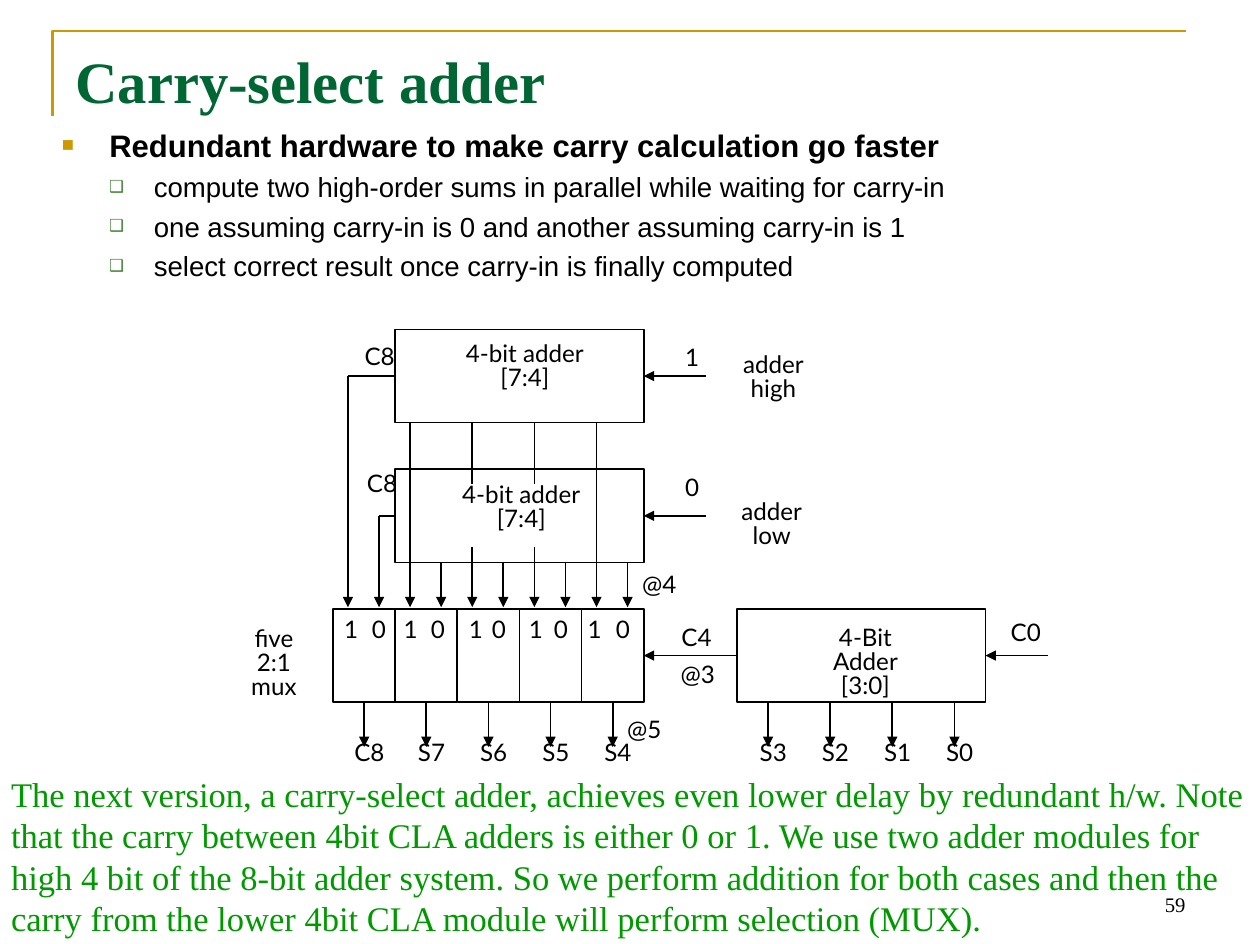
import pptx
import pptx.util
import pptx.dml.color
import pptx.enum.shapes
import pptx.enum.text
import pptx.oxml.ns
import lxml.etree

Pt = pptx.util.Pt
ALIGN = pptx.enum.text.PP_ALIGN
ANCHOR = pptx.enum.text.MSO_ANCHOR
SHAPE = pptx.enum.shapes.MSO_SHAPE
BLACK, WHITE, GOLD, GREEN = "000000", "FFFFFF", "CC9900", "3B812F"

CELL = 36                # width of a multiplexer cell, pitch of all wires
MUX_LEFT = 193
ADDER_LEFT = MUX_LEFT + CELL
ADDER_RIGHT = ADDER_LEFT + 4 * CELL
CARRY_LEFT = 427         # low-order 4-bit adder
HIGH_TOP, LOW_TOP, MUX_TOP = 191, 272, 353
HEIGHT = 54
MIDDLE = HEIGHT / 2


def color(value):
    return pptx.dml.color.RGBColor.from_string(value)


def add_element(parent, tag, **attributes):
    element = lxml.etree.SubElement(parent, pptx.oxml.ns.qn(tag))
    for name, value in attributes.items():
        element.set(name, str(value))
    return element


def add_bullet(para, char, char_color, percent, left, hanging):
    """Hanging bullet with its own colour and relative size."""
    properties = para._p.get_or_add_pPr()
    properties.set("marL", str(Pt(left)))
    properties.set("indent", str(-Pt(hanging)))
    add_element(add_element(properties, "a:buClr"), "a:srgbClr", val=char_color)
    add_element(properties, "a:buSzPct", val=percent * 1000)
    add_element(properties, "a:buFont", typeface="Arial")
    add_element(properties, "a:buChar", char=char)


def write(para, text, font="Lato", size=14, ink=BLACK, bold=False,
          align=ALIGN.LEFT, spacing=None, before=0):
    para.alignment = align
    para.space_before = Pt(before)
    if spacing:
        para.line_spacing = Pt(spacing)
    for number, line in enumerate(text.split("\n")):
        if number:
            para.add_line_break()
        span = para.add_run()
        span.text = line
        span.font.name, span.font.size = font, Pt(size)
        span.font.bold, span.font.color.rgb = bold, color(ink)


def add_box(page, left, top, width, height, insets=(7.2, 3.6, 7.2, 3.6),
            anchor=ANCHOR.TOP, wrap=True):
    box = page.shapes.add_textbox(Pt(left), Pt(top), Pt(width), Pt(height))
    frame = box.text_frame
    frame.word_wrap, frame.vertical_anchor = wrap, anchor
    (frame.margin_left, frame.margin_top,
     frame.margin_right, frame.margin_bottom) = [Pt(inset) for inset in insets]
    return box


def add_label(page, text, center, top, width=28):
    height = 24 + 14 * text.count("\n")
    box = add_box(page, center - width / 2, top, width, height,
                  insets=(7.2, 2.2, 1.4, 2.2), wrap=False)
    write(box.text_frame.paragraphs[0], text, align=ALIGN.CENTER, spacing=13.9)


def add_block(page, left, top, width, height=HEIGHT, fill=None, line=BLACK):
    block = page.shapes.add_shape(SHAPE.RECTANGLE, Pt(left), Pt(top), Pt(width), Pt(height))
    block.shadow.inherit = False
    if fill:
        block.fill.solid()
        block.fill.fore_color.rgb = color(fill)
    else:
        block.fill.background()
    block.line.color.rgb = color(line)
    block.line.width = Pt(1)


def add_wire(page, x1, y1, x2, y2, arrow=True):
    wire = page.shapes.add_connector(pptx.enum.shapes.MSO_CONNECTOR.STRAIGHT,
                                     Pt(x1), Pt(y1), Pt(x2), Pt(y2))
    wire.line.color.rgb = color(BLACK)
    wire.line.width = Pt(1)
    if arrow:
        add_element(wire.line._get_or_add_ln(), "a:tailEnd", type="triangle")
    add_element(wire._element.spPr, "a:effectLst")


def add_wire_row(page, left, count, top, bottom):
    for index in range(count):
        x = left + index * CELL
        add_wire(page, x, top, x, bottom)


def add_frame(page):
    builder = page.shapes.build_freeform(Pt(30.5), Pt(67), scale=1.0)
    builder.add_line_segments([(Pt(30.5), Pt(18)), (Pt(687.3), Pt(18))], close=False)
    corner = builder.convert_to_shape()
    corner.shadow.inherit = False
    corner.fill.background()
    corner.line.color.rgb = color(GOLD)
    corner.line.width = Pt(1.5)


def add_texts(page):
    note = add_box(page, -0.7, 444.4, 730, 103)
    note.fill.solid()
    note.fill.fore_color.rgb = color(WHITE)
    write(note.text_frame.paragraphs[0],
          "The next version, a carry-select adder, achieves even lower delay by redundant "
          "h/w. Note that the carry between 4bit CLA adders is either 0 or 1. We use two "
          "adder modules for high 4 bit of the 8-bit adder system. So we perform addition "
          "for both cases and then the carry from the lower 4bit CLA module will perform "
          "selection (MUX).", font="Times New Roman", size=20, ink="009900")

    number = add_box(page, 523.4, 498.2, 170.6, 36.7, anchor=ANCHOR.BOTTOM)
    write(number.text_frame.paragraphs[0], "59", font="Times New Roman", size=12,
          align=ALIGN.RIGHT)

    title = add_box(page, 36.7, 22.3, 656.6, 90.7)
    write(title.text_frame.paragraphs[0], "Carry-select adder",
          font="Times New Roman", size=34, ink="006633", bold=True)

    body = add_box(page, 28.8, 69.5, 656.6, 120).text_frame
    add_bullet(body.paragraphs[0], "■", GOLD, 65, 27.4, 27.4)
    write(body.paragraphs[0], "Redundant hardware to make carry calculation go faster",
          font="Arial", size=18, bold=True)
    for point in ("compute two high-order sums in parallel while waiting for carry-in",
                  "one assuming carry-in is 0 and another assuming carry-in is 1",
                  "select correct result once carry-in is finally computed"):
        para = body.add_paragraph()
        add_bullet(para, "❑", GREEN, 60, 53.3, 25.9)
        write(para, point, font="Arial", size=16, before=3.8)


def add_adders(page):
    for top in (HIGH_TOP, LOW_TOP):
        add_block(page, ADDER_LEFT, top, 4 * CELL)
        add_wire(page, ADDER_RIGHT + 36, top + MIDDLE, ADDER_RIGHT, top + MIDDLE)
    add_block(page, CARRY_LEFT, MUX_TOP, 4 * CELL)
    for index in range(5):
        add_block(page, MUX_LEFT + index * CELL, MUX_TOP, CELL)


def add_wires(page):
    mux_entry, mux_bottom = MUX_TOP - 1, MUX_TOP + HEIGHT
    # Sums into and out of the multiplexers
    add_wire_row(page, ADDER_LEFT + 8.6, 4, HIGH_TOP + HEIGHT, mux_entry)
    add_wire_row(page, ADDER_LEFT + 26.6, 4, LOW_TOP + HEIGHT, mux_entry)
    add_wire_row(page, MUX_LEFT + CELL / 2, 5, mux_bottom, mux_bottom + 26)
    add_wire_row(page, CARRY_LEFT + CELL / 2, 4, mux_bottom, mux_bottom + 26)
    # Carry wires
    for x, top in ((201.6, HIGH_TOP), (219.6, LOW_TOP)):
        add_wire(page, ADDER_LEFT, top + MIDDLE, x, top + MIDDLE, arrow=False)
        add_wire(page, x, top + MIDDLE, x, mux_entry)
    add_wire(page, CARRY_LEFT, MUX_TOP + MIDDLE, ADDER_RIGHT, MUX_TOP + MIDDLE)
    add_wire(page, 607, MUX_TOP + MIDDLE, CARRY_LEFT + 4 * CELL, MUX_TOP + MIDDLE)
    # Clear space behind the name of the low adder
    add_block(page, 256.3, 280.8, 80.6, 36, fill=WHITE, line=WHITE)


def add_labels(page):
    for text, center, top, width in (
            ("4-bit adder\n[7:4]", 301.3, 196.6, 77), ("4-bit adder\n[7:4]", 299.2, 278.6, 77),
            ("4-Bit Adder\n[3:0]", 498.6, 361.4, 77), ("five\n2:1 mux", 155.9, 362.2, 57),
            ("adder\nhigh", 445.3, 203, 47), ("adder\nlow", 444.3, 288.7, 47),
            ("C8", 217.1, 198.7, 28), ("C8", 218.5, 272.2, 28),
            ("C4", 400.7, 361.4, 28), ("C0", 591.5, 358.6, 28),
            ("1", 398.2, 199.4, 19), ("0", 398.2, 274.3, 19),
            ("@4", 379.1, 330.5, 50), ("@3", 401.4, 383, 50), ("@5", 370.4, 414.7, 50)):
        add_label(page, text, center, top, width)
    # Select inputs: centres of the 1 and 0 in every cell
    for one, zero in ((200.5, 216.7), (235, 250.9), (272.8, 286.2), (307.6, 322.1), (341.7, 358)):
        add_label(page, "1", one, 357.1, 18)
        add_label(page, "0", zero, 357.1, 18)
    # Outputs
    for left, names in ((MUX_LEFT, "C8 S7 S6 S5 S4"), (CARRY_LEFT, "S3 S2 S1 S0")):
        for index, name in enumerate(names.split()):
            add_label(page, name, left + 18.2 + index * CELL, 428.4, 50)


def main():
    deck = pptx.Presentation()
    deck.slide_width, deck.slide_height = Pt(730), Pt(547.2)
    page = deck.slides.add_slide(deck.slide_layouts[6])
    add_frame(page)
    add_adders(page)
    add_wires(page)
    add_texts(page)
    add_labels(page)
    deck.save("out.pptx")


if __name__ == "__main__":
    main()
